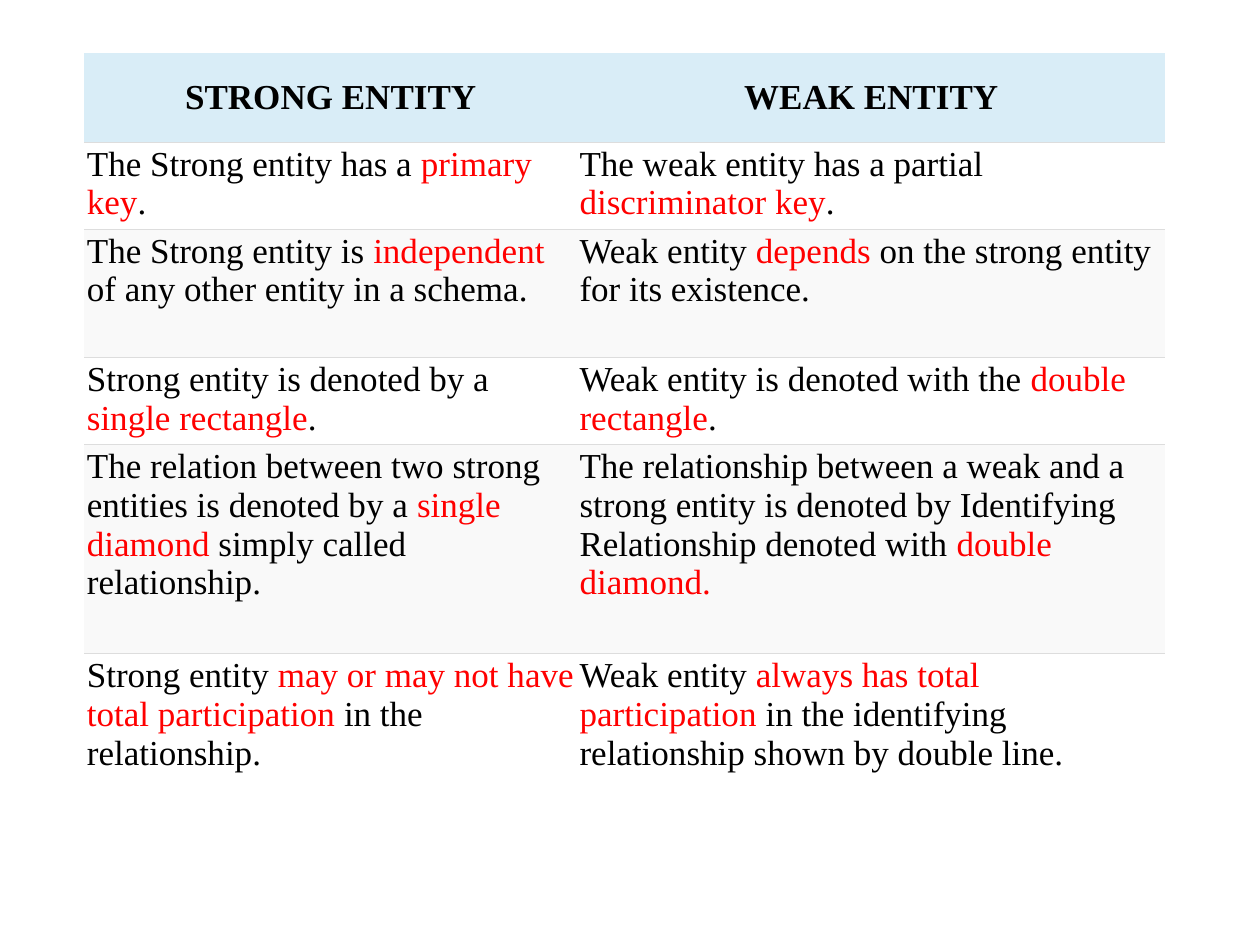
from lxml.etree import SubElement
from pptx import Presentation
from pptx.dml.color import RGBColor
from pptx.enum.text import MSO_ANCHOR, PP_ALIGN
from pptx.oxml.ns import qn
from pptx.util import Inches, Pt

# Content: each cell is (plain, highlighted, plain)
HEADINGS = ["STRONG ENTITY", "WEAK ENTITY"]
COMPARISONS = [
    [("The Strong entity has a ", "primary key", "."),
     ("The weak entity has a partial ", "discriminator key", ".")],
    [("The Strong entity is ", "independent", " of any other entity in a schema."),
     ("Weak entity ", "depends", " on the strong entity for its existence.")],
    [("Strong entity is denoted by a ", "single rectangle", "."),
     ("Weak entity is denoted with the ", "double rectangle", ".")],
    [("The relation between two strong entities is denoted by a ",
      "single diamond ", "simply called relationship."),
     ("The relationship between a weak and a strong entity is denoted by "
      "Identifying Relationship denoted with ", "double diamond.")],
    [("Strong entity ", "may or may not have total participation ",
      "in the relationship."),
     ("Weak entity ", "always has total participation",
      " in the identifying relationship shown by double line.")],
]
COLUMN_WIDTHS = [3.91, 4.67]
ROW_HEIGHTS = [0.71, 0.69, 1.02, 0.69, 1.66, 1.56]
LEFT, TOP = 0.67, 0.42
CELL_MARGIN = 0.02

FONT = "Times New Roman"
BLACK, RED, RULE = "000000", "FF0000", "DDDDDD"
HEADER_FILL, ROW_FILLS = "D9EDF7", ["FFFFFF", "F9F9F9"]
PLAIN_STYLE = "{2D5ABB26-0587-4C30-8999-92F81FD0307C}"


def color(value):
    return RGBColor.from_string(value)


def add_text(para, text, size=20, fill=BLACK, bold=False):
    span = para.add_run()
    span.text = text
    span.font.name = FONT
    span.font.size = Pt(size)
    span.font.bold = bold
    span.font.color.rgb = color(fill)


def add_border(cell, side):
    line = SubElement(cell._tc.get_or_add_tcPr(), qn(f"a:ln{side}"), w=str(Pt(0.75)))
    SubElement(SubElement(line, qn("a:solidFill")), qn("a:srgbClr"), val=RULE)


def format_cell(cell, fill, sides):
    cell.margin_left = cell.margin_right = Inches(CELL_MARGIN)
    cell.margin_top = cell.margin_bottom = Inches(CELL_MARGIN)
    for side in sides:  # borders come before the fill in the cell's XML
        add_border(cell, side)
    cell.fill.solid()
    cell.fill.fore_color.rgb = color(fill)


def main():
    deck = Presentation()
    deck.slide_width, deck.slide_height = Inches(10), Inches(7.5)
    page = deck.slides.add_slide(deck.slide_layouts[6])

    # Table grid
    frame = page.shapes.add_table(
        len(ROW_HEIGHTS), len(COLUMN_WIDTHS), Inches(LEFT), Inches(TOP),
        Inches(sum(COLUMN_WIDTHS)), Inches(sum(ROW_HEIGHTS)))
    table = frame.table
    table._tbl.tblPr.find(qn("a:tableStyleId")).text = PLAIN_STYLE
    for column, width in zip(table.columns, COLUMN_WIDTHS):
        column.width = Inches(width)
    for row, height in zip(table.rows, ROW_HEIGHTS):
        row.height = Inches(height)

    # Header row
    for cell, heading in zip(table.rows[0].cells, HEADINGS):
        format_cell(cell, HEADER_FILL, "B")
        cell.vertical_anchor = MSO_ANCHOR.MIDDLE
        para = cell.text_frame.paragraphs[0]
        para.alignment = PP_ALIGN.CENTER
        add_text(para, heading, bold=True)

    # Comparison rows, with a rule between each pair
    for index, comparison in enumerate(COMPARISONS):
        sides = "T" if index == len(COMPARISONS) - 1 else "TB"
        for cell, pieces in zip(table.rows[index + 1].cells, comparison):
            format_cell(cell, ROW_FILLS[index % 2], sides)
            para = cell.text_frame.paragraphs[0]
            for position, piece in enumerate(pieces):
                add_text(para, piece, fill=RED if position == 1 else BLACK)

    deck.save("out.pptx")


if __name__ == "__main__":
    main()
